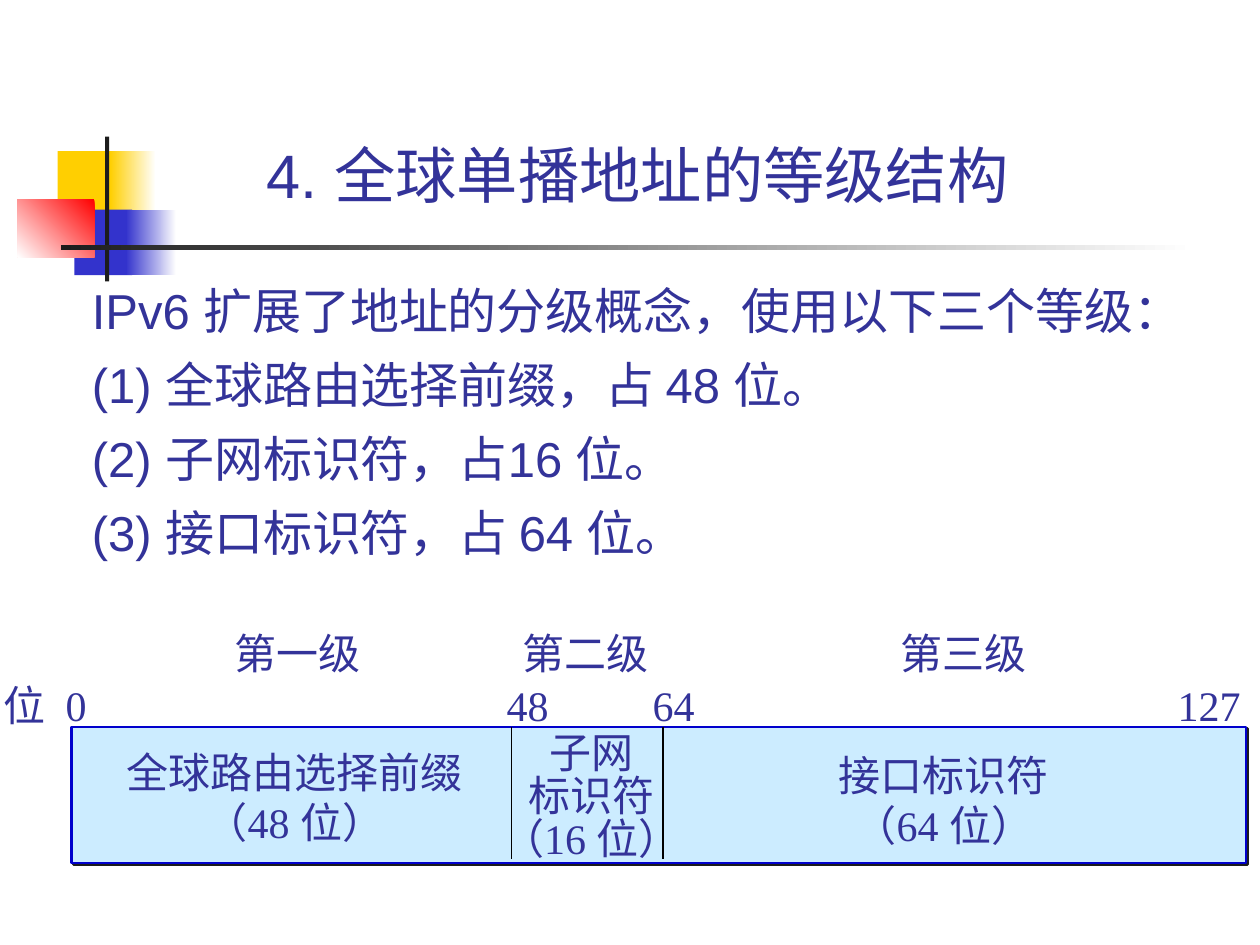
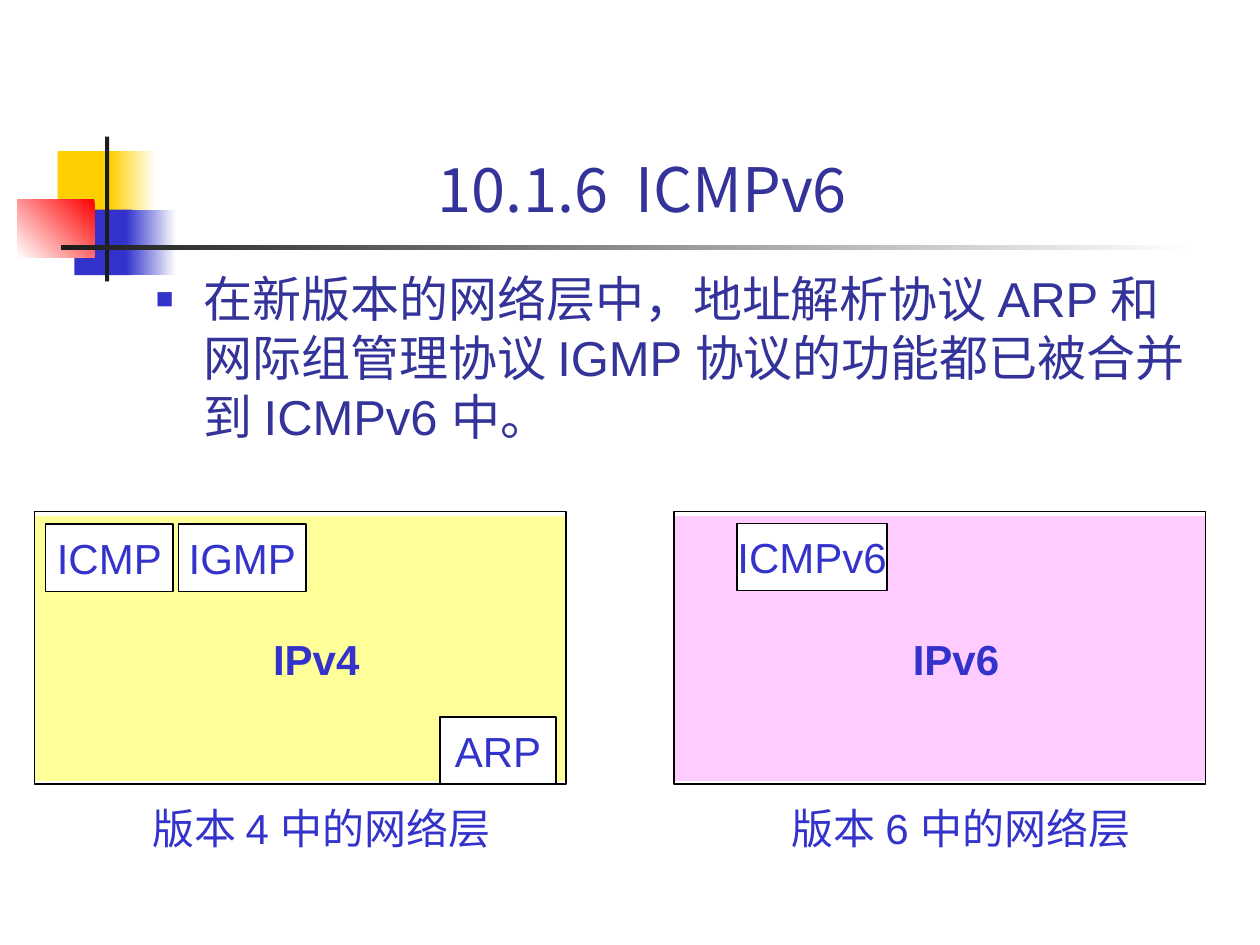
from dataclasses import dataclass

from lxml.etree import SubElement
from pptx import Presentation
from pptx.dml.color import RGBColor
from pptx.enum.shapes import MSO_CONNECTOR as Connector, MSO_SHAPE as Shape
from pptx.enum.text import MSO_ANCHOR as Anchor, PP_ALIGN as Align
from pptx.oxml.ns import qn
from pptx.util import Pt


@dataclass(frozen=True)
class Theme:
    ink: str = "333399"
    blue: str = "3333CC"
    gold: str = "FFCF01"
    red: str = "FF0000"
    dark: str = "1C1C1C"
    black: str = "000000"
    white: str = "FFFFFF"
    bar_fill: str = "CCECFF"
    bar_line: str = "0000CC"
    ipv4_fill: str = "FFFF99"
    ipv6_fill: str = "FFCCFF"
    sans: str = "Arial"
    serif: str = "Times New Roman"
    chinese: str = "Noto Sans CJK SC"
    title_size: int = 35
    body_size: int = 28
    label_size: int = 24


THEME = Theme()


def color(value):
    return RGBColor.from_string(value)


def points(*values):
    return [Pt(value) for value in values]


def format_runs(paragraph, size, font, ink, bold=False):
    for run in paragraph.runs:
        run.font.size = Pt(size)
        run.font.name = font
        run.font.bold = bold
        run.font.color.rgb = color(ink)
        east_asian = SubElement(run._r.get_or_add_rPr(), qn("a:ea"))
        east_asian.set("typeface", THEME.chinese)


def write(shape, text, size=THEME.label_size, font=THEME.sans, ink=THEME.ink,
          align=Align.CENTER, anchor=Anchor.TOP, wrap=False, bold=False):
    """Fill a shape with one paragraph per line; unwrapped text gets the full width."""
    frame = shape.text_frame
    frame.word_wrap = wrap
    if not wrap:
        frame.margin_left = frame.margin_right = 0
    frame.vertical_anchor = anchor
    frame.text = text
    for paragraph in frame.paragraphs:
        paragraph.alignment = align
        format_runs(paragraph, size, font, ink, bold)
    return frame


def add_text(slide, box, text, **style):
    return write(slide.shapes.add_textbox(*points(*box)), text, **style)


def add_rectangle(slide, box, fill=None, line=None, width=0.75):
    shape = slide.shapes.add_shape(Shape.RECTANGLE, *points(*box))
    shape.shadow.inherit = False
    if fill:
        shape.fill.solid()
        shape.fill.fore_color.rgb = color(fill)
    else:
        shape.fill.background()
    if line:
        shape.line.color.rgb = color(line)
        shape.line.width = Pt(width)
    else:
        shape.line.fill.background()
    return shape


def add_gradient(slide, box, start, end, angle=180):
    fill = add_rectangle(slide, box).fill
    fill.gradient()
    fill.gradient_angle = angle
    for stop, value in zip(fill.gradient_stops, (start, end)):
        stop.color.rgb = color(value)


def add_divider(slide, x, top, bottom):
    line = slide.shapes.add_connector(Connector.STRAIGHT, *points(x, top, x, bottom))
    line.line.color.rgb = color(THEME.black)
    line.line.width = Pt(1)
    SubElement(line._element.spPr, qn("a:effectLst"))


def add_hard_shadow(shape, ink, distance):
    effects = shape._element.spPr.find(qn("a:effectLst"))
    shadow = SubElement(effects, qn("a:outerShdw"), blurRad="0",
                        dist=str(Pt(distance)), dir="2700000", algn="ctr", rotWithShape="0")
    SubElement(shadow, qn("a:srgbClr"), val=ink)


def add_square_bullet(paragraph, hang):
    properties = paragraph._p.get_or_add_pPr()
    properties.set("marL", str(Pt(hang)))
    properties.set("indent", str(-Pt(hang)))
    bullet_color = SubElement(properties, qn("a:buClr"))
    SubElement(bullet_color, qn("a:srgbClr"), val=THEME.blue)
    SubElement(properties, qn("a:buSzPct"), val="60000")
    SubElement(properties, qn("a:buFont"), typeface=THEME.sans)
    SubElement(properties, qn("a:buChar"), char="■")


def add_tab_stops(paragraph, stops):
    tabs = SubElement(paragraph._p.get_or_add_pPr(), qn("a:tabLst"))
    for stop in stops:
        SubElement(tabs, qn("a:tab"), pos=str(Pt(stop)), algn="l")


def add_ornament(slide):
    """Coloured squares and crossed rules beside the title."""
    add_rectangle(slide, (33, 86.4, 34.6, 37.4), THEME.gold)
    add_gradient(slide, (63, 86.4, 26, 37.4), THEME.white, THEME.gold)
    add_rectangle(slide, (42.5, 119.8, 33, 37.4), THEME.blue)
    add_gradient(slide, (72, 119.8, 28.8, 37.4), THEME.white, THEME.blue)
    add_gradient(slide, (10, 113.8, 44, 33.1), THEME.red, THEME.white, 225)
    add_rectangle(slide, (60, 78, 2.4, 82.8), THEME.dark)
    add_gradient(slide, (34.8, 140.2, 648, 2.4), THEME.white, THEME.dark)


def add_titled_slide(presentation, title, box, font):
    slide = presentation.slides.add_slide(presentation.slide_layouts[6])
    add_ornament(slide)
    add_text(slide, box, title, size=THEME.title_size, font=font,
             anchor=Anchor.BOTTOM, wrap=True)
    return slide


def add_body(slide, box, text):
    return add_text(slide, box, text, size=THEME.body_size, align=Align.LEFT, wrap=True)


def add_address_bar(slide):
    """The 128-bit address with its three fields, levels and bit numbers."""
    bar = add_rectangle(slide, (41, 415.4, 671, 77.8), THEME.bar_fill, THEME.bar_line, 1.5)
    add_hard_shadow(bar, THEME.dark, 1.4)
    fields = [
        ("第一级", 126.7, "全球路由选择前缀\n（48 位）", (65.5, 423, 206, 64.8), 1),
        ("第二级", 291.6, "子网\n标识符\n（16 位）", (274.3, 416.2, 127.4, 80.6), 0.85),
        ("第三级", 507.6, "接口标识符\n（64 位）", (472.3, 424.8, 134, 64.8), 1),
    ]
    for level, level_x, label, label_box, spacing in fields:
        add_text(slide, (level_x, 355, 86.4, 36), level, font=THEME.serif)
        frame = add_text(slide, label_box, label, font=THEME.serif)
        for paragraph in frame.paragraphs:
            paragraph.line_spacing = spacing
    for x in (292.3, 378.7):
        add_divider(slide, x, 415.4, 491)
    bits = add_text(slide, (0, 384.8, 720, 36), "位\t0\t48\t64\t127",
                    font=THEME.serif, align=Align.LEFT)
    bits.margin_left = Pt(2)
    add_tab_stops(bits.paragraphs[0], (35.5, 287.5, 371, 671))


def add_network_layer(slide, left, fill, name, caption, protocols):
    """A panel for one IP version; protocol boxes are placed relative to it."""
    top, width = 292.5, 303.8
    add_rectangle(slide, (left, top + 2.5, width, 151.2), fill)
    add_rectangle(slide, (left, top, width, 155.5), line=THEME.black)
    add_text(slide, (left + 129.4, top + 66, 63.4, 36), name, ink=THEME.blue, bold=True)
    add_text(slide, (left + 51, top + 162.3, 226, 36), caption, ink=THEME.blue)
    for protocol, x, y, box_width in protocols:
        box = add_rectangle(slide, (left + x, top + y, box_width, 38.4),
                            THEME.white, THEME.black)
        write(box, protocol, ink=THEME.blue, anchor=Anchor.MIDDLE)


def build_address_slide(presentation):
    slide = add_titled_slide(presentation, "4. 全球单播地址的等级结构",
                             (85, 52, 558.7, 72), THEME.sans)
    body = add_body(slide, (45.4, 157, 674, 170),
                    "IPv6 扩展了地址的分级概念，使用以下三个等级：\n"
                    "(1) 全球路由选择前缀，占 48 位。\n"
                    "(2) 子网标识符，占16 位。\n"
                    "(3) 接口标识符，占 64 位。")
    for paragraph in body.paragraphs[1:]:
        paragraph.space_before = Pt(8.5)
    add_address_bar(slide)


def build_icmp_slide(presentation):
    slide = add_titled_slide(presentation, "10.1.6  ICMPv6",
                             (90.7, 16.6, 553, 115.2), THEME.chinese)
    body = add_body(slide, (82, 150, 612, 125.3),
                    "在新版本的网络层中，地址解析协议 ARP 和网际组管理协议 IGMP "
                    "协议的功能都已被合并到 ICMPv6 中。")
    add_square_bullet(body.paragraphs[0], 27.4)
    add_network_layer(slide, 19.6, THEME.ipv4_fill, "IPv4", "版本 4 中的网络层",
                      [("ICMP", 6.5, 7, 72.7), ("IGMP", 82.5, 7, 72.7),
                       ("ARP", 231.9, 117.2, 66.2)])
    add_network_layer(slide, 385.2, THEME.ipv6_fill, "IPv6", "版本 6 中的网络层",
                      [("ICMPv6", 36, 6.6, 85.7)])


def main():
    presentation = Presentation()
    presentation.slide_width, presentation.slide_height = points(720, 540)
    build_address_slide(presentation)
    build_icmp_slide(presentation)
    presentation.save("out.pptx")


if __name__ == "__main__":
    main()
